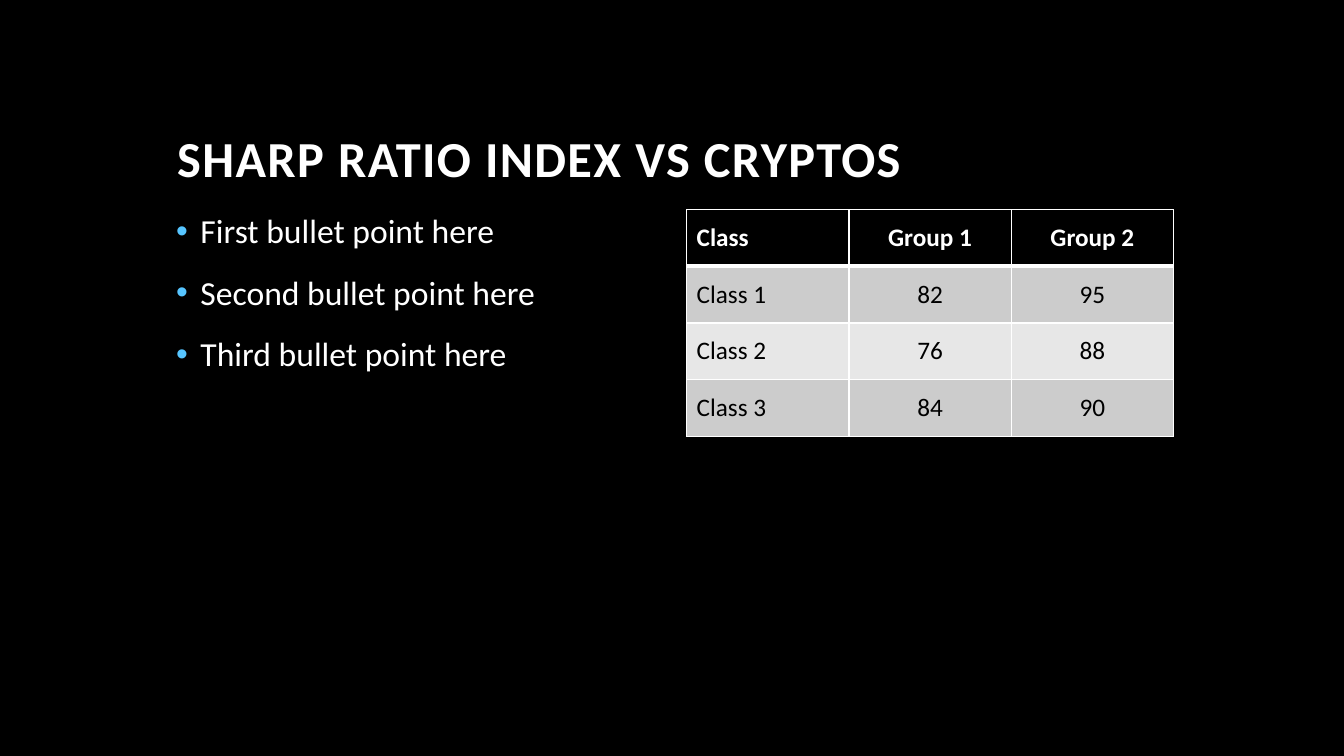
"""Build a slide with a title, three bullet points and a table of groups by class."""
from lxml import etree
from pptx import Presentation
from pptx.dml.color import RGBColor
from pptx.enum import text
from pptx.oxml.ns import qn
from pptx.util import Inches, Pt

BLACK = RGBColor(0x00, 0x00, 0x00)
WHITE = RGBColor(0xFF, 0xFF, 0xFF)
BLUE = RGBColor(0x56, 0xC5, 0xFF)
DARK_BAND = RGBColor(0xCC, 0xCC, 0xCC)
LIGHT_BAND = RGBColor(0xE7, 0xE7, 0xE7)

TITLE = "SHARP RATIO INDEX VS CRYPTOS"
BULLETS = ["First bullet point here", "Second bullet point here", "Third bullet point here"]
ROWS = [
    ["Class", "Group 1", "Group 2"],
    ["Class 1", "82", "95"],
    ["Class 2", "76", "88"],
    ["Class 3", "84", "90"],
]


def add_run(p, words, size, color, bold=False):
    r = p.add_run()
    r.text = words
    for name, value in {"name": "Calibri", "size": Pt(size), "bold": bold}.items():
        setattr(r.font, name, value)
    r.font.color.rgb = color
    return r


def add_color(parent, color):
    etree.SubElement(parent, qn("a:srgbClr"), val=str(color))


prs = Presentation()
prs.slide_width, prs.slide_height = Inches(13.33), Inches(7.5)
s = prs.slides.add_slide(prs.slide_layouts[6])
s.background.fill.solid()
s.background.fill.fore_color.rgb = BLACK

tf = s.shapes.add_textbox(Inches(1.66), Inches(0.42), Inches(10), Inches(1.5)).text_frame
tf.word_wrap = True
tf.vertical_anchor = text.MSO_ANCHOR.BOTTOM
p = tf.paragraphs[0]
p.line_spacing = 0.9
r = add_run(p, TITLE, 36, WHITE, True)
r.font._element.set("spc", "100")

tf = s.shapes.add_textbox(Inches(1.65), Inches(2.08), Inches(4.83), Inches(4.5)).text_frame
tf.word_wrap = True
for i, words in enumerate(BULLETS):
    p = tf.add_paragraph() if i else tf.paragraphs[0]
    p.line_spacing = 0.9
    p.space_before = Pt(18)
    add_run(p, words, 24, WHITE)
    pPr = p._p.get_or_add_pPr()
    pPr.set("marL", str(Inches(0.24)))
    pPr.set("indent", str(-Inches(0.24)))
    add_color(etree.SubElement(pPr, qn("a:buClr")), BLUE)
    etree.SubElement(pPr, qn("a:buFont"), typeface="Arial")
    etree.SubElement(pPr, qn("a:buChar"), char="•")

table = s.shapes.add_table(
    len(ROWS), len(ROWS[0]), Inches(6.81), Inches(2.08), Inches(4.83), Inches(2.25)
).table
for i, row in enumerate(ROWS):
    header = i == 0
    band = BLACK if header else DARK_BAND if i % 2 else LIGHT_BAND
    borders = {"lnL": 1, "lnR": 1, "lnT": 3 if i == 1 else 1, "lnB": 3 if header else 1}
    for j, words in enumerate(row):
        cell = table.cell(i, j)
        cell.vertical_anchor = text.MSO_ANCHOR.MIDDLE
        p = cell.text_frame.paragraphs[0]
        p.alignment = text.PP_ALIGN.CENTER if j else text.PP_ALIGN.LEFT
        add_run(p, words, 18, WHITE if header else BLACK, header)
        tcPr = cell._tc.get_or_add_tcPr()
        for side, width in borders.items():
            ln = etree.SubElement(tcPr, qn(f"a:{side}"), w=str(Pt(width)))
            add_color(etree.SubElement(ln, qn("a:solidFill")), WHITE)
        cell.fill.solid()
        cell.fill.fore_color.rgb = band

prs.save("out.pptx")
